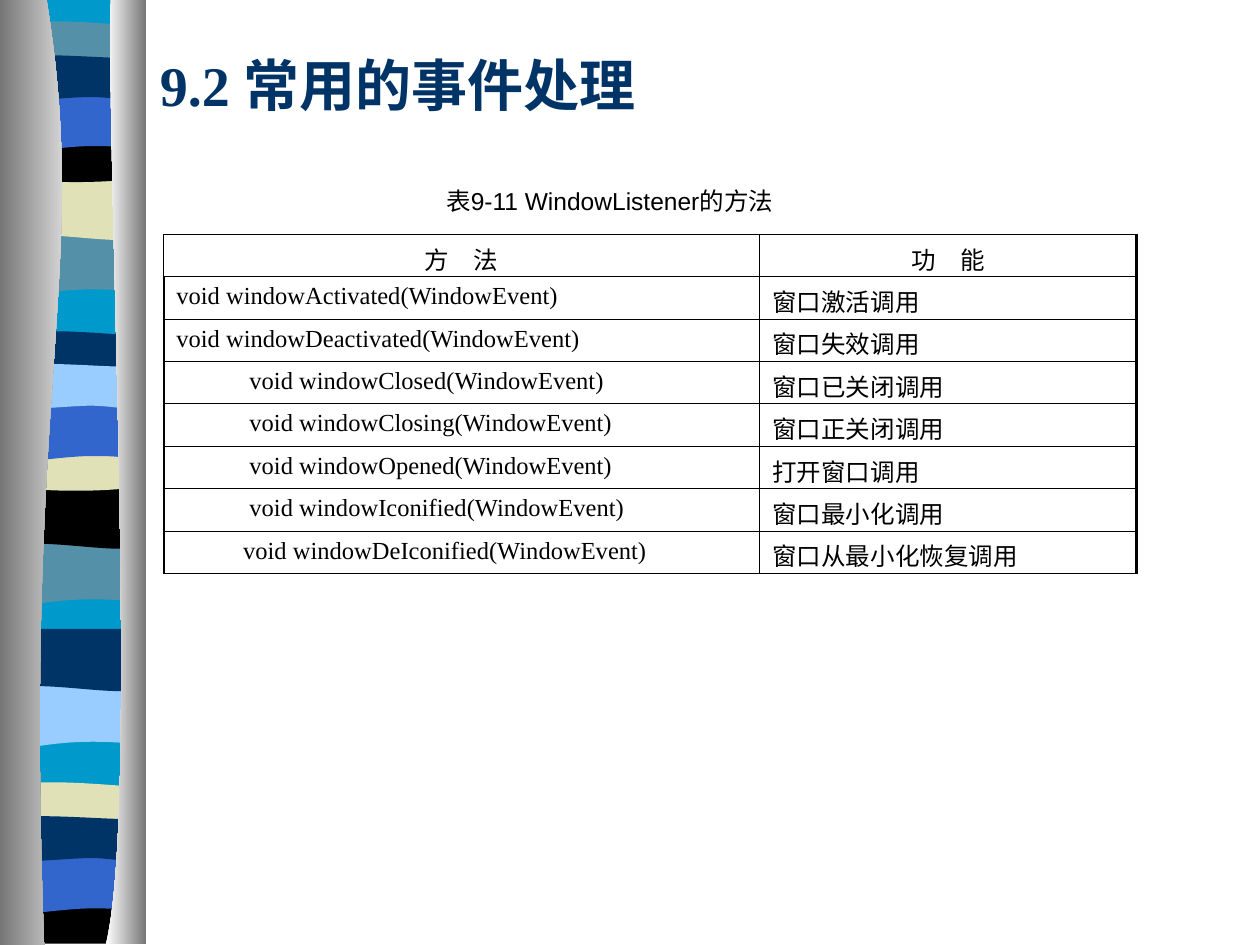
from dataclasses import dataclass
from typing import NamedTuple

from lxml.etree import SubElement
from pptx import Presentation
from pptx.dml.color import RGBColor
from pptx.enum.text import MSO_ANCHOR as Anchor, MSO_AUTO_SIZE as AutoSize, PP_ALIGN as Align
from pptx.oxml.ns import qn
from pptx.util import Inches, Pt

COLUMNS, ROWS = 10, 7.5  # the slide grid; one unit is one inch


@dataclass(frozen=True)
class Theme:
    ink: str = "000000"
    navy: str = "003366"
    blue: str = "3366CC"
    cyan: str = "0099CC"
    teal: str = "5490A8"
    sky: str = "99CCFF"
    sand: str = "E1E1B7"
    steel: str = "767676"
    white: str = "FFFFFF"
    serif: str = "Times New Roman"
    sans: str = "Arial"
    title_size: float = 32
    body_size: float = 14
    thin: float = 0.45
    thick: float = 1.47


THEME = Theme()


class Area(NamedTuple):
    column: float
    row: float
    columns: float
    rows: float


class Band(NamedTuple):
    outline: list
    top: float
    color: str


class Method(NamedTuple):
    signature: str
    purpose: str
    indent: float = 0


# Outlines: a step of one point is a line, a step of three is a Bezier curve
LEFT, RIGHT = 0.06, 1.14
FLAT_TOP = [((LEFT, 0),)]
WAVE = [((RIGHT, 0),), ((RIGHT, 0.47),),
        ((0.39, 0.39), (0.24, 0.55), (LEFT, 0.47))] + FLAT_TOP
SWELL = [((RIGHT, 0),), ((RIGHT, 0.47),),
         ((0.96, 0.55), (0.39, 0.41), (LEFT, 0.47))] + FLAT_TOP
ARCH = [((RIGHT, 0),), ((RIGHT, 0.47),),
        ((0.97, 0.42), (0.9, 0.42), (0.72, 0.42)),
        ((0.54, 0.42), (0.22, 0.47), (LEFT, 0.47))] + FLAT_TOP
LENS = [((RIGHT, 0.05),), ((RIGHT, 0.29),),
        ((0.96, 0.33), (0.24, 0.33), (LEFT, 0.29)), ((LEFT, 0.05),),
        ((0.12, 0), (0.29, 0.01), (0.47, 0.01)),
        ((0.65, 0.01), (1, 0.04), (RIGHT, 0.05))]
DIP_TOP = [((LEFT, 0),), ((0.72, 0.05), (0.91, 0), (RIGHT, 0))]
DIP = [((RIGHT, 0),), ((RIGHT, 0.32),),
       ((0.96, 0.38), (0.24, 0.38), (LEFT, 0.32))] + DIP_TOP
BASE = [((RIGHT, 0),), ((RIGHT, 0.37),), ((LEFT, 0.37),)] + DIP_TOP
FLAG = [((RIGHT, 0.05),), ((RIGHT, 0.36),),
        ((1.07, 0.41), (0.9, 0.36), (0.72, 0.36)),
        ((0.54, 0.36), (0.17, 0.41), (LEFT, 0.36)), ((LEFT, 0.05),),
        ((0.21, 0), (0.79, 0.05), (0.97, 0.05)),
        ((1.15, 0.05), (1.1, 0.05), (RIGHT, 0.05))]
BACKING = [((RIGHT, 0),), ((RIGHT, 7.48),), ((LEFT, 7.48),), ((LEFT, 0),)]
LEFT_EDGE = [((0.37, 0),), ((0.72, 2.17), (0.18, 2.97), (0.35, 7.5)),
             ((0, 7.5),), ((0, 0),)]
RIGHT_EDGE = [((0.88, 0),), ((0.84, 1.25), (1.11, 6.46), (0.84, 7.49)),
              ((1.16, 7.49),), ((1.16, 0),)]

BANDS = [
    Band(BACKING, -0.01, THEME.cyan),
    Band(WAVE, 1.85, THEME.teal), Band(SWELL, 1.41, THEME.sand),
    Band(LENS, 0.16, THEME.teal), Band(DIP, 1.08, THEME.ink),
    Band(ARCH, 0.74, THEME.blue), Band(FLAG, 0.41, THEME.navy),
    Band(WAVE, 4.31, THEME.teal), Band(SWELL, 3.86, THEME.ink),
    Band(LENS, 2.62, THEME.navy), Band(DIP, 3.53, THEME.sand),
    Band(ARCH, 3.2, THEME.blue), Band(FLAG, 2.86, THEME.sky),
    Band(WAVE, 5.44, THEME.sky), Band(SWELL, 4.99, THEME.navy),
    Band(LENS, 6.2, THEME.sand), Band(BASE, 7.12, THEME.ink),
    Band(ARCH, 6.79, THEME.blue), Band(FLAG, 6.45, THEME.navy),
]

METHODS = [
    Method("void windowActivated(WindowEvent)", "窗口激活调用"),
    Method("void windowDeactivated(WindowEvent)", "窗口失效调用"),
    Method("void windowClosed(WindowEvent)", "窗口已关闭调用", 0.58),
    Method("void windowClosing(WindowEvent)", "窗口正关闭调用", 0.58),
    Method("void windowOpened(WindowEvent)", "打开窗口调用", 0.58),
    Method("void windowIconified(WindowEvent)", "窗口最小化调用", 0.58),
    Method("void windowDeIconified(WindowEvent)", "窗口从最小化恢复调用", 0.53),
]


def bend(shape, outline: list) -> None:
    """Join the segments of each three-point step into one cubic curve."""
    segments = list(shape._element.iter(qn("a:lnTo")))
    start = 0
    for step in outline[1:]:
        group = segments[start:start + len(step)]
        start += len(step)
        if len(step) == 3:
            curve = group[0].makeelement(qn("a:cubicBezTo"))
            group[0].addprevious(curve)
            for segment in group:
                curve.append(segment[0])
                segment.getparent().remove(segment)


def draw_outline(shapes, outline: list, top: float, *colors: str) -> None:
    """Draw a filled outline; two colours give a left-to-right gradient."""
    points = [(Inches(x), Inches(y + top)) for step in outline for x, y in step]
    builder = shapes.build_freeform(*points[0], scale=1.0)
    builder.add_line_segments(points[1:], close=True)
    shape = builder.convert_to_shape()
    bend(shape, outline)
    shape.shadow.inherit = False
    shape.line.fill.background()
    if len(colors) == 1:
        shape.fill.solid()
        shape.fill.fore_color.rgb = RGBColor.from_string(colors[0])
        return
    shape.fill.gradient()
    shape.fill.gradient_angle = 0
    for stop, color in zip(shape.fill.gradient_stops, colors):
        stop.color.rgb = RGBColor.from_string(color)


def write(frame, text: str, *, font: str = THEME.serif, size: float = THEME.body_size,
          color: str = THEME.ink, bold: bool = False, align=Align.LEFT,
          indent: float = 0) -> None:
    para = frame.paragraphs[0]
    para.alignment = align
    if indent:
        para._p.get_or_add_pPr().set("marL", str(Inches(indent)))
    span = para.add_run()
    span.text = text
    span.font.name, span.font.size, span.font.bold = font, Pt(size), bold
    span.font.color.rgb = RGBColor.from_string(color)


def add_text(slide, area: Area, text: str, *, wrap: bool = True, **style) -> None:
    box = slide.shapes.add_textbox(*map(Inches, area))
    frame = box.text_frame
    frame.word_wrap = wrap
    frame.auto_size = AutoSize.NONE if wrap else AutoSize.SHAPE_TO_FIT_TEXT
    frame.vertical_anchor = Anchor.MIDDLE
    write(frame, text, **style)


def set_borders(cell, left: float, right: float) -> None:
    properties = cell._tc.get_or_add_tcPr()
    widths = {"a:lnL": left, "a:lnR": right, "a:lnT": THEME.thin, "a:lnB": THEME.thin}
    for position, (tag, width) in enumerate(widths.items()):
        line = SubElement(properties, qn(tag), w=str(Pt(width)))
        SubElement(SubElement(line, qn("a:solidFill")), qn("a:srgbClr"), val=THEME.ink)
        properties.insert(position, line)


def add_method_table(slide, area: Area, widths: tuple, methods: list) -> None:
    entries = [Method("方　法", "功　能"), *methods]
    table = slide.shapes.add_table(len(entries), 2, *map(Inches, area)).table
    table.first_row = table.horz_banding = False
    for column, width in zip(table.columns, widths):
        column.width = Inches(width)
    for index, entry in enumerate(entries):
        header = index == 0
        align = Align.CENTER if header else Align.LEFT
        outer = THEME.thin if header else THEME.thick
        table.rows[index].height = Inches(area.rows / len(entries))
        cells = table.cell(index, 0), table.cell(index, 1)
        write(cells[0].text_frame, entry.signature, align=align, indent=entry.indent)
        write(cells[1].text_frame, entry.purpose, align=align)
        for cell, left, right in zip(cells, (outer, THEME.thin), (THEME.thin, THEME.thick)):
            cell.fill.background()
            set_borders(cell, left, right)


def main() -> None:
    deck = Presentation()
    deck.slide_width, deck.slide_height = Inches(COLUMNS), Inches(ROWS)
    slide = deck.slides.add_slide(deck.slide_layouts[6])

    # Striped ribbon between two metallic edges
    ribbon = slide.shapes.add_group_shape().shapes
    for band in BANDS:
        draw_outline(ribbon, *band)
    draw_outline(ribbon, LEFT_EDGE, 0, THEME.steel, THEME.white)
    draw_outline(ribbon, RIGHT_EDGE, 0, THEME.white, THEME.steel)

    # Title, caption and table
    add_text(slide, Area(1.17, 0.33, 8.5, 0.67), "9.2 常用的事件处理",
             size=THEME.title_size, color=THEME.navy, bold=True)
    add_text(slide, Area(3.39, 1.42, 2.9, 0.34), "表9-11 WindowListener的方法",
             font=THEME.sans, align=Align.CENTER, wrap=False)
    add_method_table(slide, Area(1.3, 1.86, 7.72, 2.69), (4.73, 2.99), METHODS)

    deck.save("out.pptx")


if __name__ == "__main__":
    main()
